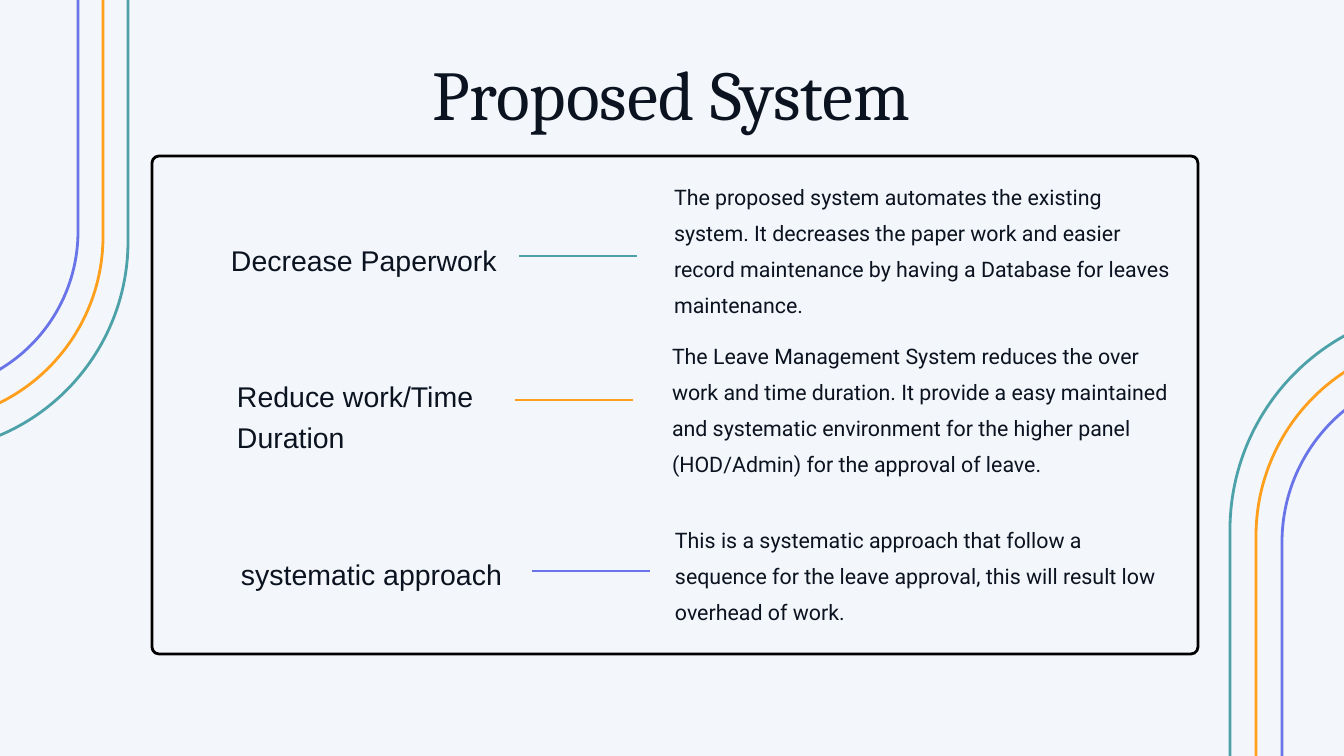
"""Builds the "Proposed System" slide: three benefits in a frame between nested arches."""
import pptx
import pptx.dml.color
import pptx.enum.shapes
import pptx.enum.text
import pptx.oxml
import pptx.oxml.ns
import pptx.util
from dataclasses import dataclass


@dataclass(frozen=True)
class Theme:
    background: str = "F3F6FA"
    ink: str = "0B1320"
    frame: str = "000000"
    accents: tuple = ("4DA1A9", "FF9F1C", "6874E8")
    title_size: float = 75
    label_size: float = 30.5
    body_size: float = 22.9
    stroke: float = 3


THEME = Theme()
EMU_PER_PX = 914400 / 67.2
PAGE_SIZE = (1344, 756)

TITLE = "Proposed System"
TITLE_AREA = (75, 34, 1193, 101)
FRAME_AREA = (152, 156, 1046, 498)
CORNER = 7

BENEFITS = [
    {
        "label": "Decrease Paperwork",
        "label_area": (231, 236, 282, 42),
        "body": "The proposed system automates the existing system. It decreases the paper work "
                "and easier record maintenance by having a Database for leaves maintenance.",
        "body_area": (674, 174, 500, 144),
        "dash_start": (519, 256),
    },
    {
        "label": "Reduce work/Time Duration",
        "label_area": (237, 372, 282, 83),
        "body": "The Leave Management System reduces the over work and time duration. It provide a "
                "easy maintained and systematic environment for the higher panel (HOD/Admin) for "
                "the approval of leave.",
        "body_area": (672, 333, 500, 144),
        "dash_start": (515, 400),
    },
    {
        "label": "systematic approach",
        "label_area": (241, 550, 282, 42),
        "body": "This is a systematic approach that follow a sequence for the leave approval, "
                "this will result low overhead of work.",
        "body_area": (675, 517, 500, 109),
        "dash_start": (532, 571),
    },
]
DASH_LENGTH = 118

ARCH_GROUPS = [
    {"outer": (1230, 308, 444, 547), "inset": (26, 32), "rotation": 0},
    {"outer": (-293, -67, 421, 519), "inset": (25, 30), "rotation": 180},
]


def emu(*lengths):
    return [pptx.util.Emu(round(length * EMU_PER_PX)) for length in lengths]


def rgb(value):
    return pptx.dml.color.RGBColor.from_string(value)


def set_stroke(shape, color):
    shape.line.color.rgb = rgb(color)
    shape.line.width = pptx.util.Pt(THEME.stroke)


def add_text(page, text, *, area, size, font, spacing, align="LEFT"):
    box = page.shapes.add_textbox(*emu(*area))
    frame = box.text_frame
    frame.word_wrap = True
    frame.auto_size = pptx.enum.text.MSO_AUTO_SIZE.SHAPE_TO_FIT_TEXT
    frame.margin_left = frame.margin_top = frame.margin_right = frame.margin_bottom = 0
    para = frame.paragraphs[0]
    para.alignment = getattr(pptx.enum.text.PP_ALIGN, align)
    para.line_spacing = spacing
    span = para.add_run()
    span.text = text
    span.font.name = font
    span.font.size = pptx.util.Pt(size)
    span.font.color.rgb = rgb(THEME.ink)


def add_outline(page, kind, *, area, color, adjustment, rotation=0):
    shape = page.shapes.add_shape(kind, *emu(*area))
    shape.adjustments[0] = adjustment
    shape.rotation = rotation
    shape.shadow.inherit = False
    shape.fill.background()
    set_stroke(shape, color)


def add_dash(page, start, color):
    left, top = start
    dash = page.shapes.add_connector(
        pptx.enum.shapes.MSO_CONNECTOR.STRAIGHT, *emu(left, top, left + DASH_LENGTH, top))
    set_stroke(dash, color)
    properties = dash._element.spPr
    properties.append(pptx.oxml.parse_xml(
        f"<a:effectLst {pptx.oxml.ns.nsdecls('a')}/>"))


def add_arches(page, outer, inset, rotation):
    left, top, width, height = outer
    for step, color in enumerate(THEME.accents):
        across, down = (step * gap for gap in inset)
        area = (left + across, top + down, width - 2 * across, height - 2 * down)
        add_outline(page, pptx.enum.shapes.MSO_SHAPE.ROUND_2_SAME_RECTANGLE,
                    area=area, color=color, adjustment=0.5, rotation=rotation)


def main():
    deck = pptx.Presentation()
    deck.slide_width, deck.slide_height = emu(*PAGE_SIZE)
    page = deck.slides.add_slide(deck.slide_layouts[6])
    page.background.fill.solid()
    page.background.fill.fore_color.rgb = rgb(THEME.background)

    add_text(page, TITLE, area=TITLE_AREA, size=THEME.title_size,
             font="Cambria", spacing=1.2, align="CENTER")
    add_outline(page, pptx.enum.shapes.MSO_SHAPE.ROUNDED_RECTANGLE, area=FRAME_AREA,
                color=THEME.frame, adjustment=CORNER / FRAME_AREA[3])
    for benefit, color in zip(BENEFITS, THEME.accents):
        add_text(page, benefit["label"], area=benefit["label_area"],
                 size=THEME.label_size, font="Arial", spacing=1.2)
        add_text(page, benefit["body"], area=benefit["body_area"],
                 size=THEME.body_size, font="Roboto", spacing=1.4)
        add_dash(page, benefit["dash_start"], color)
    for group in ARCH_GROUPS:
        add_arches(page, **group)

    deck.save("out.pptx")


if __name__ == "__main__":
    main()
